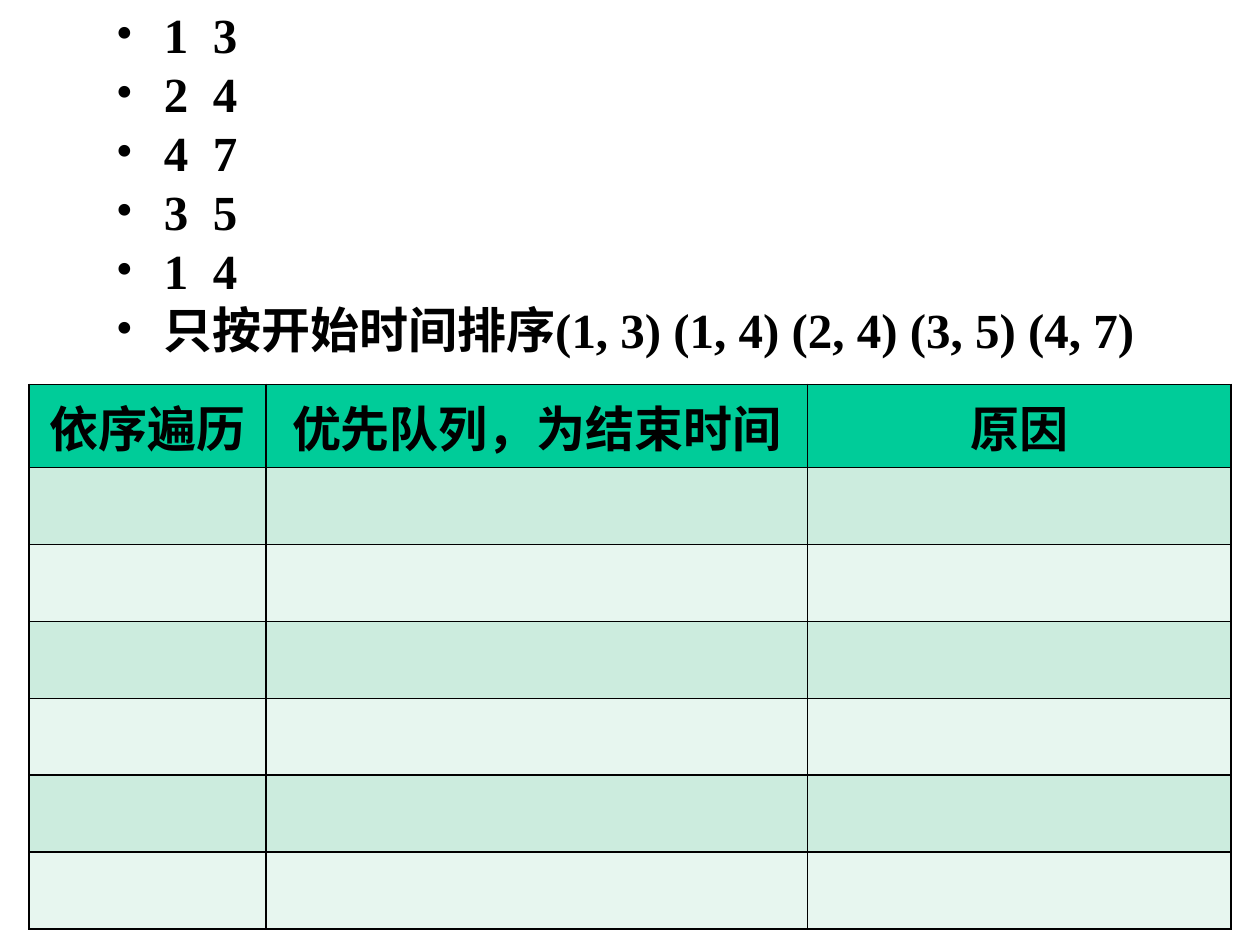
from dataclasses import dataclass

from lxml.etree import SubElement
from pptx import Presentation
from pptx.dml.color import RGBColor as Color
from pptx.enum.text import MSO_ANCHOR as Anchor, MSO_AUTO_SIZE as AutoSize, PP_ALIGN as Align
from pptx.oxml.ns import qn
from pptx.util import Inches, Pt


@dataclass(frozen=True)
class Theme:
    font: str = "Times New Roman"
    size: float = 28
    ink: str = "000000"
    header: str = "00CC99"
    bands: tuple = ("CCECDE", "E7F6EF")
    border: float = 1
    indent: float = 0.38
    tab: float = 0.77
    line_spacing: float = 0.8
    gap: float = 6.8


THEME = Theme()
INTERVALS = [(1, 3), (2, 4), (4, 7), (3, 5), (1, 4)]
HEADERS = ["依序遍历", "优先队列，为结束时间", "原因"]
COLUMN_SHARES = [0.188, 0.43, 0.336]
ROW_COUNT = 7
ROW_SHARE = 0.61 / 7.5


def write(paragraph, text, *, size=THEME.size, color=THEME.ink, bold=True, align=None):
    paragraph.text = text
    paragraph.alignment = align
    font = paragraph.font
    for target in (font, *(run.font for run in paragraph.runs)):
        target.name, target.size, target.bold = THEME.font, Pt(size), bold
        target.color.rgb = Color.from_string(color)


def add_bullet(paragraph, theme):
    properties = paragraph._p.get_or_add_pPr()
    properties.set("marL", str(Inches(theme.indent)))
    properties.set("indent", str(-Inches(theme.indent)))
    SubElement(properties, qn("a:buFont"), typeface=theme.font)
    SubElement(properties, qn("a:buChar"), char="•")
    tabs = SubElement(properties, qn("a:tabLst"))
    SubElement(tabs, qn("a:tab"), pos=str(Inches(theme.tab)), algn="l")


def add_borders(cell, theme):
    properties = cell._tc.get_or_add_tcPr()
    for side in ("lnL", "lnR", "lnT", "lnB"):
        line = SubElement(properties, qn(f"a:{side}"), w=str(Pt(theme.border)))
        fill = SubElement(line, qn("a:solidFill"))
        SubElement(fill, qn("a:srgbClr"), val=theme.ink)


class SlideBuilder:
    def __init__(self, presentation, theme):
        self.theme = theme
        self.width, self.height = presentation.slide_width, presentation.slide_height
        self.slide = presentation.slides.add_slide(presentation.slide_layouts[1])
        title = self.slide.shapes.title
        title.element.getparent().remove(title.element)

    def box(self, left, top, width, height):
        return (int(self.width * left), int(self.height * top),
                int(self.width * width), int(self.height * height))

    def bullets(self, lines, *shares):
        body = self.slide.placeholders[1]
        body.left, body.top, body.width, body.height = self.box(*shares)
        frame = body.text_frame
        frame.word_wrap, frame.auto_size = True, AutoSize.NONE
        frame.vertical_anchor = Anchor.TOP
        for index, line in enumerate(lines):
            paragraph = frame.add_paragraph() if index else frame.paragraphs[0]
            add_bullet(paragraph, self.theme)
            paragraph.line_spacing = self.theme.line_spacing
            paragraph.space_before = Pt(self.theme.gap if index else 0)
            write(paragraph, line)

    def table(self, headers, left, top):
        box = self.box(left, top, sum(COLUMN_SHARES), ROW_SHARE * ROW_COUNT)
        table = self.slide.shapes.add_table(ROW_COUNT, len(headers), *box).table
        for column, share in zip(table.columns, COLUMN_SHARES):
            column.width = int(self.width * share)
        for index, row in enumerate(table.rows):
            color = self.theme.bands[(index - 1) % 2] if index else self.theme.header
            for cell in row.cells:
                add_borders(cell, self.theme)
                cell.fill.solid()
                cell.fill.fore_color.rgb = Color.from_string(color)
        for cell, header in zip(table.rows[0].cells, headers):
            write(cell.text_frame.paragraphs[0], header, align=Align.CENTER)


def main():
    presentation = Presentation()
    presentation.slide_width, presentation.slide_height = Inches(10), Inches(7.5)
    builder = SlideBuilder(presentation, THEME)
    ordered = " ".join(f"({start}, {end})" for start, end in sorted(INTERVALS))
    lines = [f"{start}\t{end}" for start, end in INTERVALS]
    builder.bullets([*lines, f"只按开始时间排序{ordered}"], 0.082, 0.01, 0.918, 0.97)
    builder.table(HEADERS, 0.023, 3.05 / 7.5)
    presentation.save("out.pptx")


if __name__ == "__main__":
    main()
